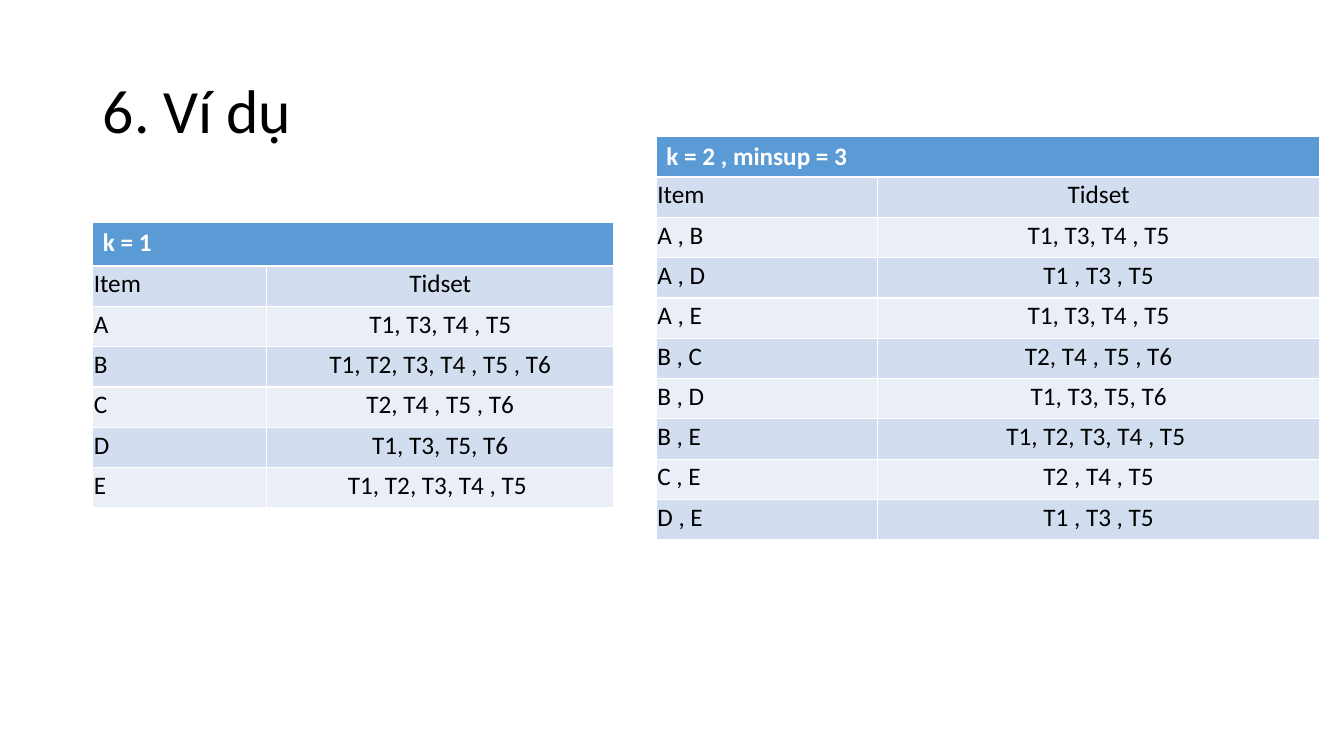
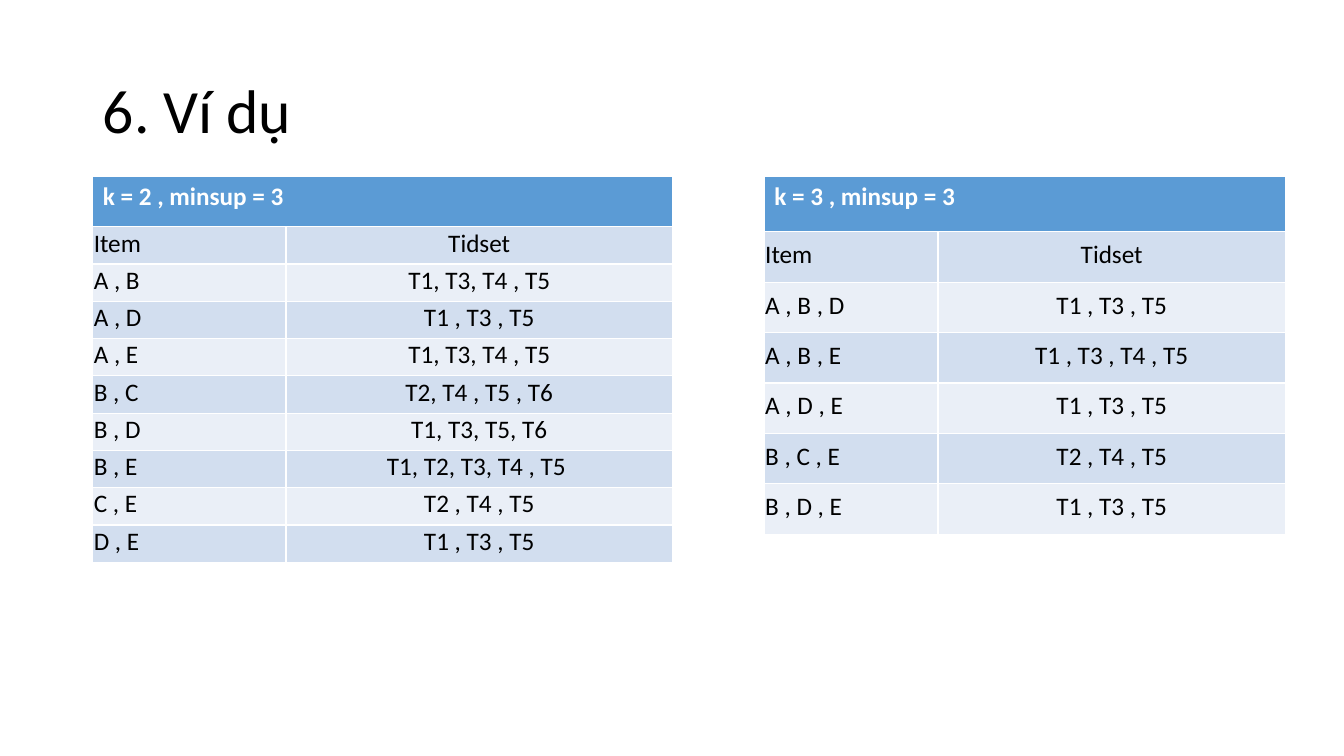
from pptx import Presentation
from pptx.dml.color import RGBColor
from pptx.enum.text import MSO_ANCHOR, PP_ALIGN
from pptx.util import Inches, Pt

FONT = "Calibri"
BLACK = RGBColor(0x00, 0x00, 0x00)
WHITE = RGBColor(0xFF, 0xFF, 0xFF)
HEADER_BLUE = RGBColor(0x5B, 0x9B, 0xD5)
BANDS = (RGBColor(0xD2, 0xDE, 0xEF), RGBColor(0xEA, 0xEF, 0xF7))

TITLE = "6. Ví dụ"
COLUMN_NAMES = ("Item", "Tidset")
LEFT_MARGIN = 0.92

SINGLES = [
    ("A", "T1, T3, T4 , T5"),
    ("B", "T1, T2, T3, T4 , T5 , T6"),
    ("C", "T2, T4 , T5 , T6"),
    ("D", "T1, T3, T5, T6"),
    ("E", "T1, T2, T3, T4 , T5 "),
]
PAIRS = [
    ("A , B", "T1, T3, T4 , T5"),
    ("A , D", "T1 , T3 , T5"),
    ("A , E", "T1, T3, T4 , T5"),
    ("B , C", "T2, T4 , T5 , T6"),
    ("B , D", "T1, T3, T5, T6"),
    ("B , E", "T1, T2, T3, T4 , T5 "),
    ("C , E", "T2 , T4 , T5"),
    ("D , E", "T1 , T3 , T5"),
]
TRIPLES = [
    ("A , B , D", "T1 , T3 , T5"),
    ("A , B , E", "T1 , T3 , T4 , T5"),
    ("A , D , E", "T1 , T3 , T5"),
    ("B , C , E", "T2 , T4 , T5"),
    ("B , D , E", "T1 , T3 , T5"),
]

# Each table: heading, itemsets, (left, top, width), (heading height, row height)
SLIDES = [
    [
        ("k = 1", SINGLES, (LEFT_MARGIN, 2.21, 5.17), (0.43, 0.4)),
        ("k = 2 , minsup = 3", PAIRS, (6.51, 1.35, 6.58), (0.4, 0.4)),
    ],
    [
        ("k = 2 , minsup = 3", PAIRS, (LEFT_MARGIN, 1.75, 5.75), (0.5, 0.37)),
        ("k = 3 , minsup = 3", TRIPLES, (7.58, 1.75, 5.17), (0.55, 0.5)),
    ],
]


def format_paragraph(paragraph, size, color, bold=False, align=PP_ALIGN.LEFT):
    paragraph.alignment = align
    font = paragraph.font
    font.name, font.size, font.bold = FONT, Pt(size), bold
    font.color.rgb = color


def fill_cell(cell, words, fill, color, bold=False, align=PP_ALIGN.LEFT):
    cell.text = words
    cell.fill.solid()
    cell.fill.fore_color.rgb = fill
    format_paragraph(cell.text_frame.paragraphs[0], 18, color, bold, align)


def add_title(slide):
    title = slide.shapes.title
    title.left, title.top = Inches(LEFT_MARGIN), Inches(0.4)
    title.width, title.height = Inches(11.5), Inches(1.45)
    title.text_frame.text = TITLE
    title.text_frame.vertical_anchor = MSO_ANCHOR.MIDDLE
    paragraph = title.text_frame.paragraphs[0]
    paragraph.line_spacing = 0.9
    format_paragraph(paragraph, 44, BLACK)


def add_itemset_table(slide, heading, itemsets, place, heights):
    """Draw a merged heading row above banded rows, with columns in ratio 1:2."""
    left, top, width = place
    heading_height, row_height = heights
    body = [COLUMN_NAMES, *itemsets]
    table = slide.shapes.add_table(
        len(body) + 1, 2, Inches(left), Inches(top), Inches(width),
        Inches(heading_height + row_height * len(body))).table
    for column, share in zip(table.columns, (1, 2)):
        column.width = Inches(width * share / 3)

    table.rows[0].height = Inches(heading_height)
    table.cell(0, 0).merge(table.cell(0, 1))
    fill_cell(table.cell(0, 0), heading, HEADER_BLUE, WHITE, bold=True)

    for index, values in enumerate(body):
        row = table.rows[index + 1]
        row.height = Inches(row_height)
        for cell, words, align in zip(row.cells, values, (PP_ALIGN.LEFT, PP_ALIGN.CENTER)):
            fill_cell(cell, words, BANDS[index % 2], BLACK, align=align)
            cell.vertical_anchor = MSO_ANCHOR.MIDDLE
            cell.margin_left = cell.margin_top = cell.margin_right = Inches(0.01)
            cell.margin_bottom = Inches(0.05)


def main():
    presentation = Presentation()
    presentation.slide_width, presentation.slide_height = Inches(13.33), Inches(7.5)
    title_only = presentation.slide_layouts.get_by_name("Title Only")
    for tables in SLIDES:
        slide = presentation.slides.add_slide(title_only)
        add_title(slide)
        for table in tables:
            add_itemset_table(slide, *table)
    presentation.save("out.pptx")


if __name__ == "__main__":
    main()
